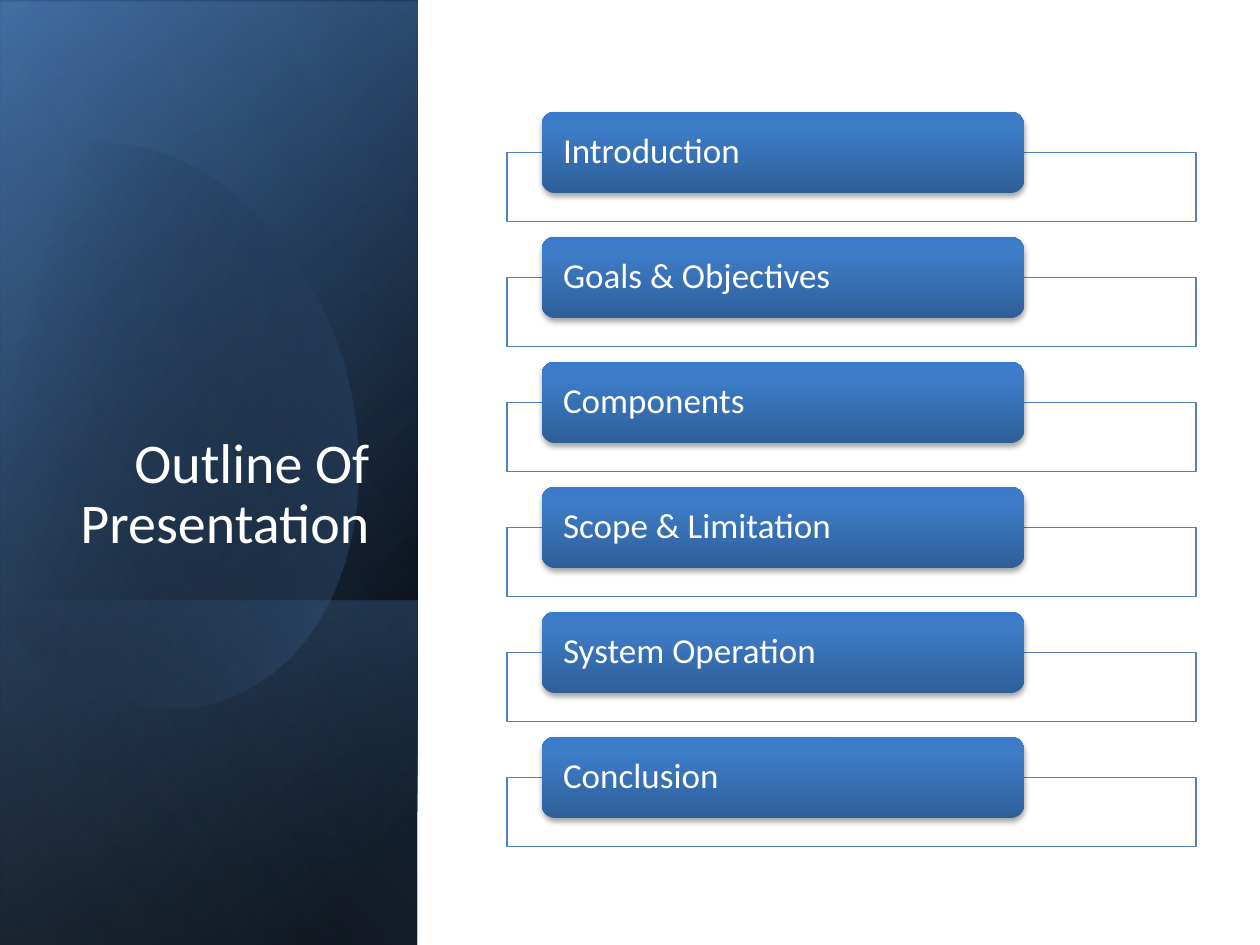
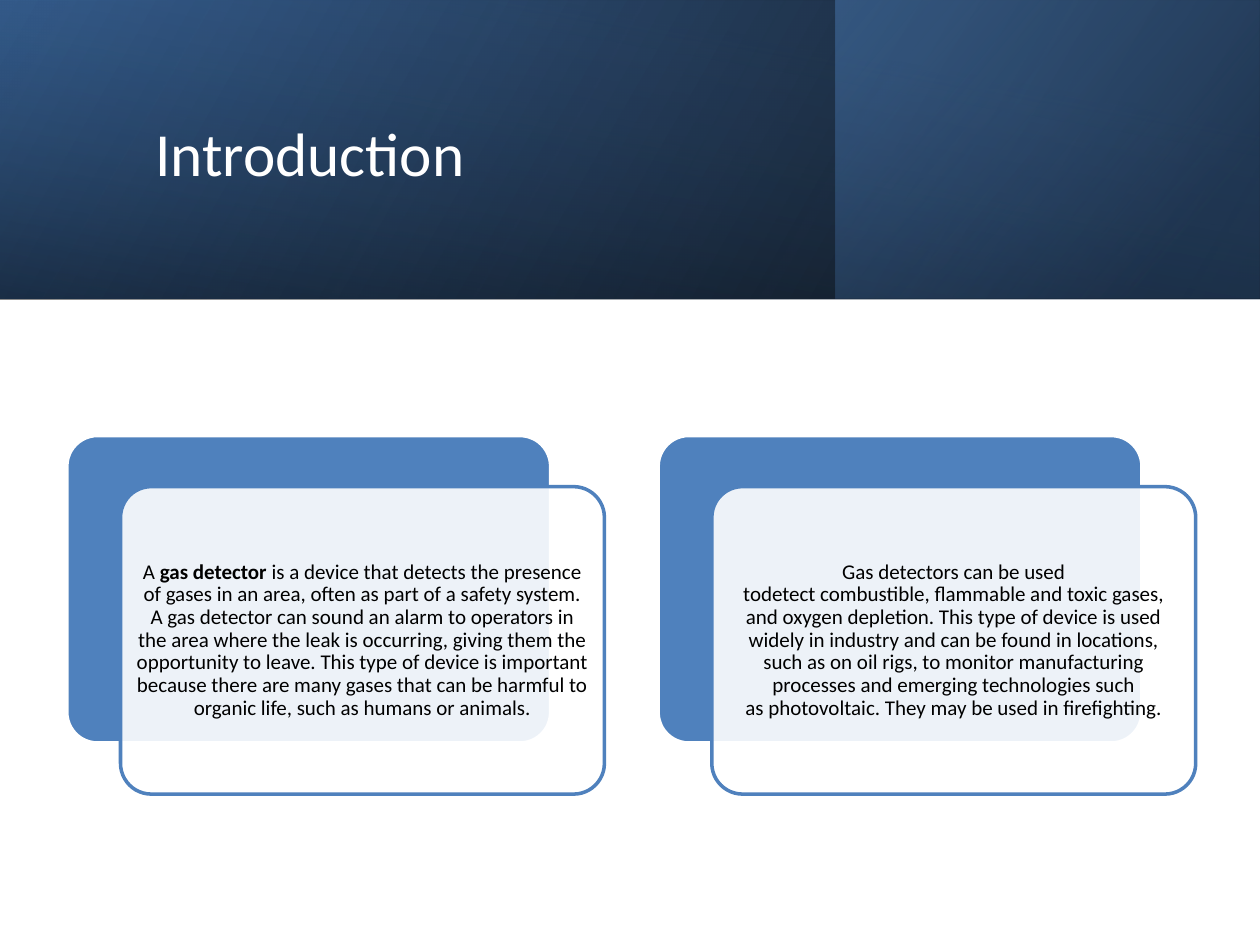
from dataclasses import dataclass
from math import cos, radians, sin

from pptx import Presentation
from pptx.dml.color import RGBColor
from pptx.enum.shapes import MSO_SHAPE
from pptx.enum.text import MSO_ANCHOR, MSO_AUTO_SIZE, PP_ALIGN
from pptx.oxml import parse_xml
from pptx.oxml.ns import nsdecls, qn
from pptx.util import Pt

RECTANGLE, ROUNDED = MSO_SHAPE.RECTANGLE, MSO_SHAPE.ROUNDED_RECTANGLE
LEFT, CENTER, RIGHT = PP_ALIGN.LEFT, PP_ALIGN.CENTER, PP_ALIGN.RIGHT
MIDDLE, BOTTOM = MSO_ANCHOR.MIDDLE, MSO_ANCHOR.BOTTOM
NO_AUTOFIT = MSO_AUTO_SIZE.NONE

FONT = "Calibri"
NO_BREAK_SPACE = chr(160)
WHITE = RGBColor(0xFF, 0xFF, 0xFF)
BLACK = RGBColor(0x00, 0x00, 0x00)
BLUE = RGBColor(0x4F, 0x81, 0xBD)
PALE_BLUE = RGBColor(0x95, 0xB3, 0xD7)
DEEP_BLUE = RGBColor(0x37, 0x60, 0x92)
NAVY = RGBColor(0x25, 0x40, 0x61)
BUTTON_DARK = RGBColor(0x2F, 0x5F, 0x99)
BUTTON_MID = RGBColor(0x3D, 0x7C, 0xC7)
BUTTON_LIGHT = RGBColor(0x3A, 0x7C, 0xCB)


@dataclass(frozen=True)
class Box:
    left: float
    top: float
    width: float
    height: float

    def moved(self, right: float = 0, down: float = 0) -> "Box":
        return Box(self.left + right, self.top + down, self.width, self.height)

    def lengths(self) -> tuple:
        return Pt(self.left), Pt(self.top), Pt(self.width), Pt(self.height)


@dataclass(frozen=True)
class Stop:
    position: int
    color: RGBColor
    opacity: int = 100


@dataclass(frozen=True)
class Gradient:
    angle: int
    stops: tuple[Stop, ...]


@dataclass(frozen=True)
class Band:
    box: Box
    rotation: int
    gradient: Gradient


@dataclass(frozen=True)
class TextStyle:
    size: float
    color: RGBColor
    alignment: PP_ALIGN
    space_after: float
    anchor: MSO_ANCHOR = MIDDLE


SIDE_BOX = Box(-150.6, 150.8, 540, 238.3)
SIDE_BANDS = (
    Band(SIDE_BOX, 90, Gradient(50, (Stop(8, BLACK), Stop(100, DEEP_BLUE)))),
    Band(SIDE_BOX.moved(down=1), 90, Gradient(30, (Stop(0, BLACK, 0), Stop(99, BLUE, 46)))),
    Band(Box(20.9, 322.6, 197.3, 238.3), 90,
         Gradient(130, (Stop(2, BLUE, 29), Stop(100, BLACK, 30)))),
)
SIDE_GLOSS = Band(SIDE_BOX, 90, Gradient(120, (Stop(0, BLACK, 0), Stop(99, PALE_BLUE, 11))))
TOP_BANDS = (
    Band(Box(0, 0, 720, 170.6), 0, Gradient(330, (Stop(0, BLACK, 96), Stop(100, DEEP_BLUE)))),
    Band(Box(477.6, 0, 242, 170.6), 0, Gradient(320, (Stop(19, NAVY, 68), Stop(100, BLUE, 48)))),
    Band(Box(274.3, -274.3, 170.6, 720), 270,
         Gradient(350, (Stop(23, DEEP_BLUE, 16), Stop(99, BLACK, 45)))),
)

EGG_CENTER = (85.7, 240.8)
EGG_TILT = 16.1
EGG_GRADIENT = Gradient(30, (Stop(29, BLACK, 0), Stop(100, BLUE, 43)))
EGG_START = (69.1, 82.1)
# Three points make a Bézier curve, one point makes a straight edge.
EGG_SEGMENTS = (
    ((123.1, 87.8), (175.7, 138.2), (196.6, 208.8)),
    ((221, 296.6), (188.6, 382.3), (123.1, 401)),
    ((82.1, 413.3), (38.2, 396), (5, 360)),
    ((-2.2, 351.4),),
    ((-18, 119.5),),
    ((-10.8, 110.9),),
    ((1.4, 98.6), (15.8, 90), (32.4, 85)),
    ((44.6, 81.4), (56.9, 80.6), EGG_START),
)
CURVE_STEPS = 16

TOPICS = ("Introduction", "Goals & Objectives", "Components",
          "Scope & Limitation", "System Operation", "Conclusion")
TOPIC_FRAME = Box(289.7, 87.2, 393.8, 39.4)
TOPIC_BUTTON = Box(309.5, 63.9, 275.8, 46.5)
TOPIC_PITCH = 71.42
TOPIC_STYLE = TextStyle(20, WHITE, LEFT, 7)
BUTTON_GRADIENT = Gradient(
    270, (Stop(0, BUTTON_DARK), Stop(80, BUTTON_MID), Stop(100, BUTTON_LIGHT)))

CARD = Box(38.2, 248.9, 276.5, 175.7)
CARD_PITCH = 337.9
CARD_STYLE = TextStyle(12, BLACK, CENTER, 4.2)
# Each card holds (text, bold) runs; "~" stands for a no-break space.
CARDS = (
    (("A~", False), ("gas detector", True),
     ("~is a device that detects the presence of~gases~in an area, often as part of "
      "a safety system. A gas detector can sound an alarm to operators in the area where "
      "the leak is occurring, giving them the opportunity to leave. This type of device is "
      "important because there are many gases that can be harmful to organic life, such as "
      "humans or animals.", False)),
    (("Gas detectors can be used todetect~combustible,~flammable~and~toxic~gases, "
      "and~oxygen~depletion. This type of device is used widely in industry and can be "
      "found in locations, such as on oil rigs, to monitor manufacturing processes and "
      "emerging technologies such as~photovoltaic. They may be used in~firefighting.",
      False),),
)


def fill_gradient(shape, gradient: Gradient) -> None:
    stops = "".join(
        f'<a:gs pos="{stop.position * 1000}"><a:srgbClr val="{stop.color}">'
        f'<a:alpha val="{stop.opacity * 1000}"/></a:srgbClr></a:gs>'
        for stop in gradient.stops)
    shape.fill.background()
    properties = shape.element.spPr
    properties.replace(properties.find(qn("a:noFill")), parse_xml(
        f'<a:gradFill {nsdecls("a")} rotWithShape="1"><a:gsLst>{stops}</a:gsLst>'
        f'<a:lin ang="{gradient.angle * 60000}" scaled="0"/></a:gradFill>'))


def fill_solid(shape, color: RGBColor, opacity: int = 100) -> None:
    shape.fill.solid()
    shape.fill.fore_color.rgb = color
    if opacity < 100:
        color_element = shape.element.spPr.find(qn("a:solidFill"))[0]
        color_element.append(parse_xml(f'<a:alpha {nsdecls("a")} val="{opacity * 1000}"/>'))


def set_line(shape, color: RGBColor, width: float) -> None:
    shape.line.color.rgb = color
    shape.line.width = Pt(width)


def add_soft_shadow(shape) -> None:
    shape.element.spPr.find(qn("a:effectLst")).append(parse_xml(
        f'<a:outerShdw {nsdecls("a")} blurRad="{Pt(3.1)}" dist="{Pt(1.8)}" dir="5400000" '
        'rotWithShape="0"><a:srgbClr val="000000"><a:alpha val="35000"/></a:srgbClr>'
        '</a:outerShdw>'))


def add_box(slide, kind: MSO_SHAPE, box: Box):
    """Add a shape without shadow or line."""
    shape = slide.shapes.add_shape(kind, *box.lengths())
    shape.shadow.inherit = False
    shape.line.fill.background()
    return shape


def add_band(slide, band: Band) -> None:
    shape = add_box(slide, RECTANGLE, band.box)
    shape.rotation = band.rotation
    shape.element.spPr.xfrm.set("flipH", "1")
    fill_gradient(shape, band.gradient)


def curve_points(start: tuple, segment: tuple) -> list[tuple]:
    first, second, end = segment
    points = []
    for step in range(1, CURVE_STEPS + 1):
        t = step / CURVE_STEPS
        weights = ((1 - t) ** 3, 3 * t * (1 - t) ** 2, 3 * t * t * (1 - t), t ** 3)
        points.append(tuple(
            sum(weight * value for weight, value in zip(weights, values))
            for values in zip(start, first, second, end)))
    return points


def upright(point: tuple) -> tuple:
    """Undo the tilt of the egg, which its rotation then restores."""
    x, y = point[0] - EGG_CENTER[0], point[1] - EGG_CENTER[1]
    cosine, sine = cos(radians(EGG_TILT)), sin(radians(EGG_TILT))
    return (Pt(EGG_CENTER[0] + x * cosine - y * sine),
            Pt(EGG_CENTER[1] + x * sine + y * cosine))


def add_egg(slide) -> None:
    outline = [EGG_START]
    for segment in EGG_SEGMENTS:
        outline += curve_points(outline[-1], segment) if len(segment) == 3 else segment
    points = [upright(point) for point in outline]
    builder = slide.shapes.build_freeform(*points[0])
    builder.add_line_segments(points[1:], close=True)
    egg = builder.convert_to_shape()
    egg.rotation = -EGG_TILT
    egg.shadow.inherit = False
    egg.line.fill.background()
    fill_gradient(egg, EGG_GRADIENT)


def write_text(shape, runs: tuple, style: TextStyle) -> None:
    frame = shape.text_frame
    frame.word_wrap = True
    frame.auto_size = NO_AUTOFIT
    frame.vertical_anchor = style.anchor
    paragraph = frame.paragraphs[0]
    paragraph.alignment = style.alignment
    paragraph.line_spacing = 0.9
    paragraph.space_before = Pt(0)
    paragraph.space_after = Pt(style.space_after)
    paragraph.font.name = FONT
    paragraph.font.size = Pt(style.size)
    paragraph.font.color.rgb = style.color
    for text, bold in runs:
        run = paragraph.add_run()
        run.text = text.replace("~", NO_BREAK_SPACE)
        if bold:
            run.font.bold = True


def set_insets(shape, horizontal: float, vertical: float) -> None:
    frame = shape.text_frame
    frame.margin_left = frame.margin_right = Pt(horizontal)
    frame.margin_top = frame.margin_bottom = Pt(vertical)


def set_title(slide, text: str, box: Box, style: TextStyle) -> None:
    """Place the title in front of the shapes drawn so far."""
    title = slide.shapes.title
    title.left, title.top, title.width, title.height = box.lengths()
    write_text(title, ((text, False),), style)
    title.element.getparent().append(title.element)


def add_topic(slide, text: str, down: float) -> None:
    frame = add_box(slide, RECTANGLE, TOPIC_FRAME.moved(down=down))
    fill_solid(frame, WHITE, 90)
    set_line(frame, BLUE, 0.75)
    button = add_box(slide, ROUNDED, TOPIC_BUTTON.moved(down=down))
    fill_gradient(button, BUTTON_GRADIENT)
    add_soft_shadow(button)
    set_insets(button, 10, 0)
    write_text(button, ((text, False),), TOPIC_STYLE)


def add_card(slide, runs: tuple, right: float) -> None:
    back = add_box(slide, ROUNDED, CARD.moved(right))
    fill_solid(back, BLUE)
    set_line(back, WHITE, 2)
    front = add_box(slide, ROUNDED, CARD.moved(right + 30.7, 29.2))
    fill_solid(front, WHITE, 90)
    set_line(front, BLUE, 2)
    for shape in (back, front):
        shape.adjustments[0] = 0.1
    set_insets(front, 3.6, 3.6)
    write_text(front, runs, CARD_STYLE)


def build_outline(slide) -> None:
    for band in SIDE_BANDS:
        add_band(slide, band)
    add_egg(slide)
    add_band(slide, SIDE_GLOSS)
    set_title(slide, "Outline Of Presentation", Box(34.2, 132.7, 184.2, 188.6),
              TextStyle(32, WHITE, RIGHT, 6, BOTTOM))
    for index, topic in enumerate(TOPICS):
        add_topic(slide, topic, index * TOPIC_PITCH)


def build_introduction(slide) -> None:
    for band in TOP_BANDS:
        add_band(slide, band)
    set_title(slide, "Introduction", Box(81.6, 27.4, 573.8, 123.8),
              TextStyle(35, WHITE, LEFT, 6))
    for index, runs in enumerate(CARDS):
        add_card(slide, runs, index * CARD_PITCH)


def main() -> None:
    presentation = Presentation()
    presentation.slide_width, presentation.slide_height = Pt(720), Pt(540)
    title_only = presentation.slide_layouts[5]
    for build in (build_outline, build_introduction):
        build(presentation.slides.add_slide(title_only))
    presentation.save("out.pptx")


if __name__ == "__main__":
    main()
